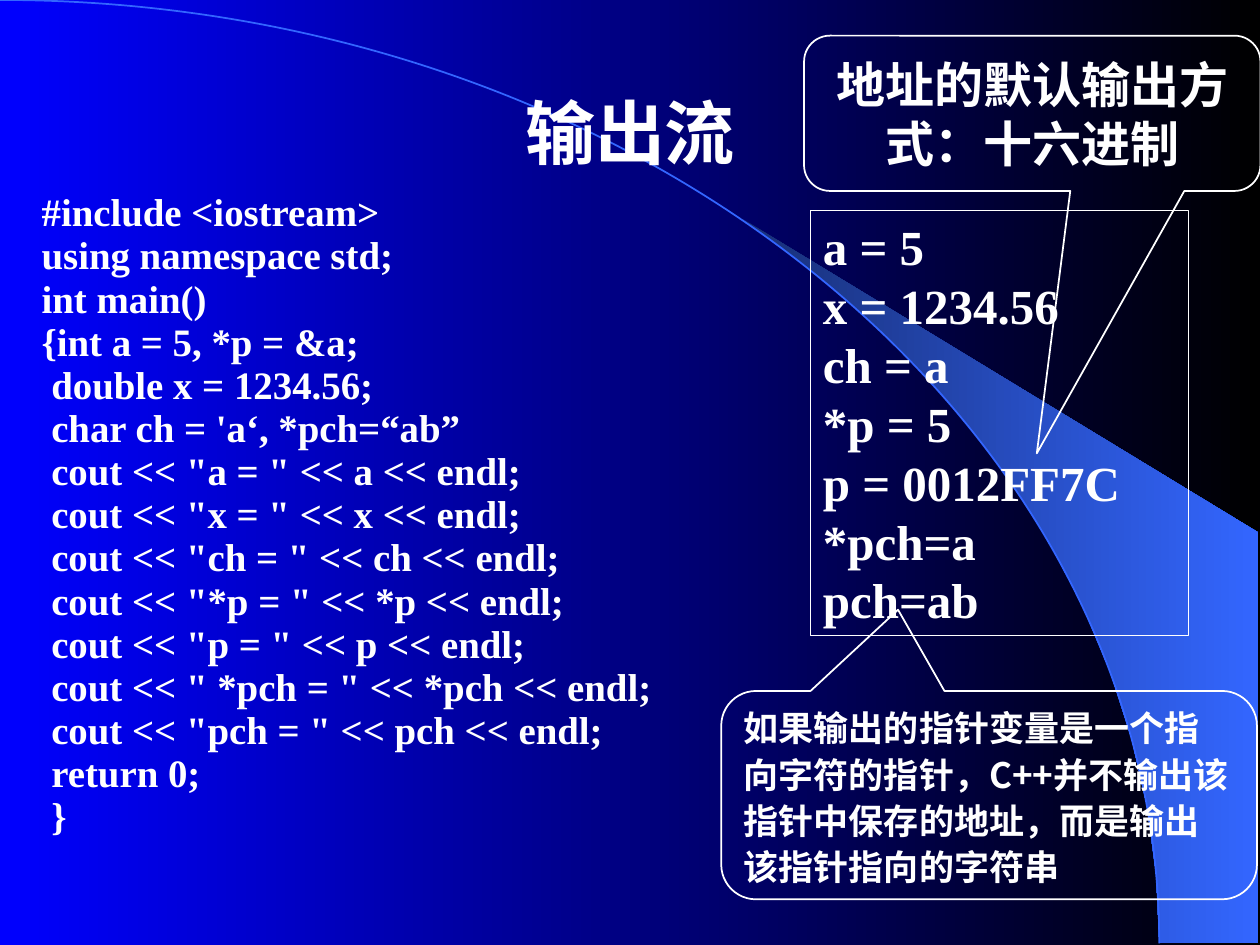
from math import asin, cos, pi, sin

from lxml.etree import SubElement
from pptx import Presentation
from pptx.dml.color import RGBColor
from pptx.enum.shapes import MSO_SHAPE as Shape
from pptx.enum.text import MSO_ANCHOR as Anchor, MSO_AUTO_SIZE as Fit, PP_ALIGN as Align
from pptx.oxml.ns import qn
from pptx.util import Cm, Pt

WHITE = RGBColor(0xFF, 0xFF, 0xFF)
BLACK = RGBColor(0x00, 0x00, 0x00)
BLUE = RGBColor(0x00, 0x00, 0xFF)
SKY = RGBColor(0x33, 0x66, 0xFF)
NAVY = RGBColor(0x18, 0x2F, 0x76)

SERIF = "Times New Roman"
SANS = "Arial"
HAN = "Noto Sans CJK SC"

CODE = """#include <iostream>
using namespace std;
int main()
{int a = 5, *p = &a;
 double x = 1234.56;
 char ch = 'a‘, *pch=“ab”
 cout << "a = " << a << endl;
 cout << "x = " << x << endl;
 cout << "ch = " << ch << endl;
 cout << "*p = " << *p << endl;
 cout << "p = " << p << endl;
 cout << " *pch = " << *pch << endl;
 cout << "pch = " << pch << endl;
 return 0;
 }"""

RESULT = """a = 5
x = 1234.56
ch = a
*p = 5
p = 0012FF7C
*pch=a
pch=ab"""

HEX_NOTE = "地址的默认输出方式：十六进制"
CHAR_NOTE = ("如果输出的指针变量是一个指向字符的指针，C++并不输出该指针中保存的地址，"
             "而是输出该指针指向的字符串")


def blend(fill, start, end):
    """Fill from left to right with two colours."""
    fill.gradient()
    fill.gradient_angle = 0
    for stop, color in zip(fill.gradient_stops, (start, end)):
        stop.color.rgb = color


def write(shape, text, size, font, align=Align.LEFT, anchor=Anchor.TOP,
          spacing=None, gap=None):
    """Put bold white lines in a shape; gap is the space between paragraphs."""
    frame = shape.text_frame
    frame.word_wrap = True
    frame.vertical_anchor = anchor
    frame.text = text
    for i, para in enumerate(frame.paragraphs):
        para.alignment = align
        if spacing:
            para.line_spacing = spacing
        if gap and i:
            para.space_before = Pt(gap)
        for run in para.runs:
            run.font.size = Pt(size)
            run.font.bold = True
            run.font.name = font
            run.font.color.rgb = WHITE
            SubElement(run._r.get_or_add_rPr(), qn("a:ea"), typeface=HAN)


def trace(shapes, points, close):
    """Draw a path through points given in centimetres."""
    spots = [(Cm(x), Cm(y)) for x, y in points]
    pen = shapes.build_freeform(*spots[0])
    pen.add_line_segments(spots[1:], close=close)
    path = pen.convert_to_shape()
    path.shadow.inherit = False
    return path


def bend(path, *handles):
    """Turn a path's one straight line into a curve; handles are shares of its box."""
    line = next(path._element.iter(qn("a:lnTo")))
    line.tag = qn("a:cubicBezTo")
    for i, (x, y) in enumerate(handles):
        point = line.makeelement(qn("a:pt"), x=str(int(path.width * x)),
                                 y=str(int(path.height * y)))
        line.insert(i, point)


def curve_to(shapes, left, top, reach, height):
    """Draw the quarter ellipse as one curve."""
    path = trace(shapes, [(left, top), (left + reach, top + height)], False)
    old = next(path._element.iter(qn("a:lnTo")))
    curve = SubElement(old.getparent(), qn("a:cubicBezTo"))
    for x, y in ((0.55, 0), (1, 0.45), (1, 1)):
        SubElement(curve, qn("a:pt"), x=str(int(path.width * x)),
                   y=str(int(path.height * y)))
    old.getparent().remove(old)
    return path


def add_decor(slide, box):
    """Draw the quarter ellipse and the wedge that leaves it at a tangent."""
    left, top, width, height = box
    reach, start, steps = 23.37, asin(0.64), 12
    right = left + width

    turns = [start + (pi / 2 - start) * i / steps for i in range(steps + 1)]
    rim = [(left + reach * sin(t), top + height * (1 - cos(t))) for t in turns]
    rim += [(right, top + height), (right, top + 10.74)]
    wedge = trace(slide.shapes, rim, True)
    blend(wedge.fill, NAVY, SKY)
    wedge.line.fill.background()

    curve = curve_to(slide.shapes, left, top, reach, height)
    curve.fill.background()
    curve.line.color.rgb = SKY
    curve.line.width = Pt(1)


def add_text(slide, box, text, size, font, **style):
    area = slide.shapes.add_textbox(*map(Cm, box))
    write(area, text, size, font, **style)


def add_frame(slide, kind, box, weight):
    """Add an unfilled shape with a white outline."""
    frame = slide.shapes.add_shape(kind, *map(Cm, box))
    frame.shadow.inherit = False
    frame.fill.background()
    frame.line.color.rgb = WHITE
    frame.line.width = Pt(weight)
    return frame


def add_result(slide, box):
    panel = add_frame(slide, Shape.RECTANGLE, box, 0.75)
    write(panel, RESULT, 28, SERIF, align=Align.JUSTIFY)
    panel.text_frame.auto_size = Fit.SHAPE_TO_FIT_TEXT


def add_note(slide, box, tip, text, size, font, **style):
    """Add a callout; tip is its point as a share of the box, from the centre."""
    note = add_frame(slide, Shape.ROUNDED_RECTANGULAR_CALLOUT, box, 1)
    note.adjustments[0], note.adjustments[1] = tip
    write(note, text, size, font, anchor=Anchor.MIDDLE, **style)


def main():
    deck = Presentation()
    deck.slide_width, deck.slide_height = Cm(25.4), Cm(19.05)
    slide = deck.slides.add_slide(deck.slide_layouts[6])
    blend(slide.background.fill, BLUE, BLACK)

    add_decor(slide, (0, 0, 25.37, 19.02))
    add_text(slide, (1.9, 1.07, 21.6, 3.18), "输出流", 40, SANS,
             align=Align.CENTER, anchor=Anchor.MIDDLE)
    add_text(slide, (0.59, 3.92, 14.43, 13.41), CODE, 22.2, SERIF,
             spacing=0.7, gap=6)
    add_result(slide, (16.34, 4.25, 7.62, 8.56))
    add_note(slide, (16.21, 0.72, 9.2, 3.13), (0.01, 2.19), HEX_NOTE, 28, SANS,
             align=Align.CENTER)
    add_note(slide, (14.54, 13.93, 10.8, 4.2), (-0.17, -0.89), CHAR_NOTE, 20, HAN,
             spacing=1.1)
    deck.save("out.pptx")


if __name__ == "__main__":
    main()
